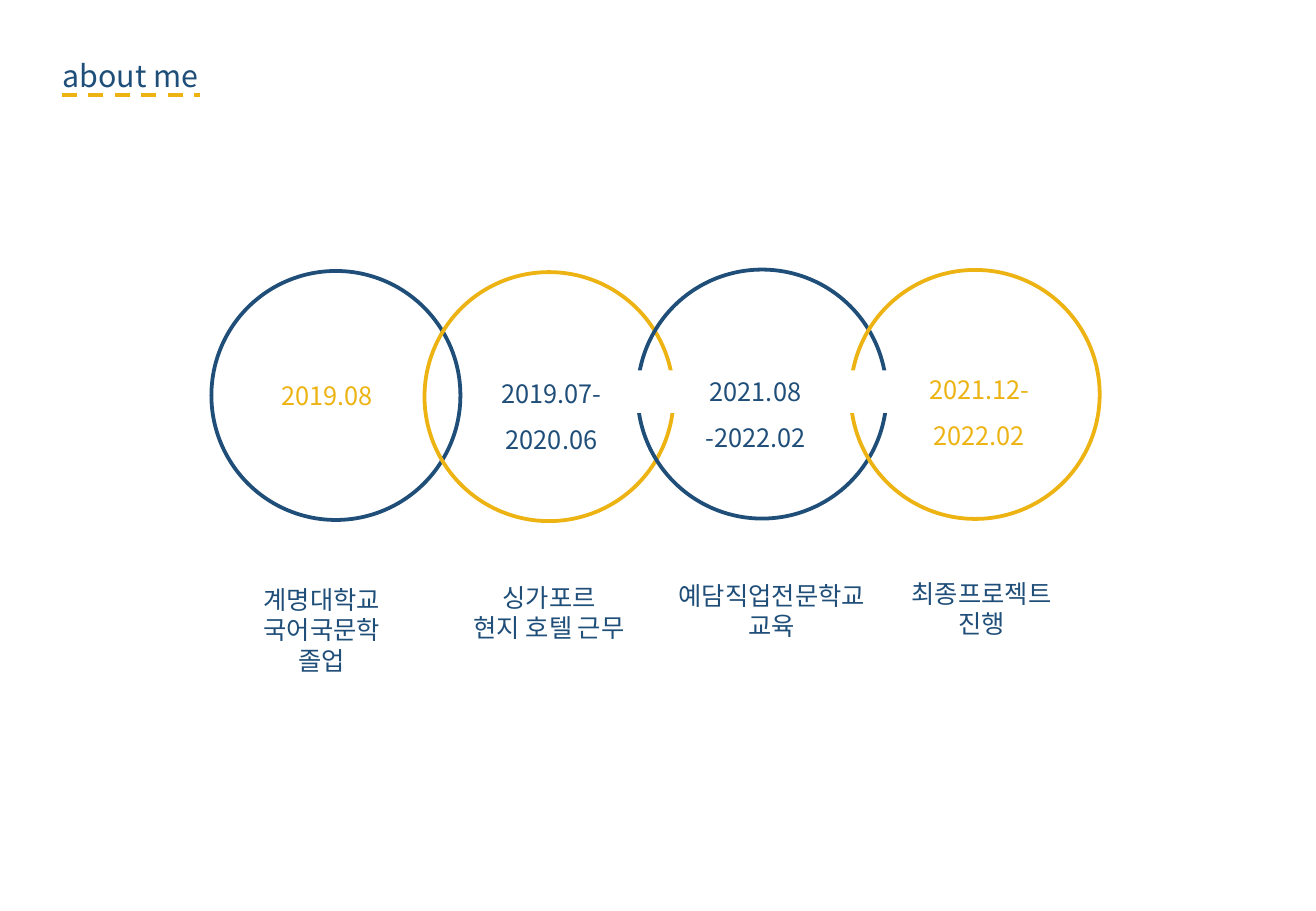
from dataclasses import dataclass

from lxml.etree import SubElement
from pptx import Presentation
from pptx.dml.color import RGBColor
from pptx.enum.dml import MSO_LINE
from pptx.enum.shapes import MSO_CONNECTOR, MSO_SHAPE as SHAPE
from pptx.enum.text import PP_ALIGN as ALIGN
from pptx.oxml.ns import qn
from pptx.util import Pt


@dataclass(frozen=True)
class Theme:
    navy: RGBColor = RGBColor.from_string("1F4E79")
    gold: RGBColor = RGBColor.from_string("ECB312")
    white: RGBColor = RGBColor.from_string("FFFFFF")
    font: str = "Noto Sans CJK KR"
    title: float = 18
    body: float = 15
    stroke: float = 2.25


def write(frame, text, *, font, size, color, align=ALIGN.LEFT, spacing=1.0):
    """Fill a text frame, one paragraph for each line of text."""
    frame.word_wrap = True
    for number, line in enumerate(text.split("\n")):
        paragraph = frame.add_paragraph() if number else frame.paragraphs[0]
        paragraph.alignment = align
        paragraph.line_spacing = spacing
        run = paragraph.add_run()
        run.text = line
        run.font.size = Pt(size)
        run.font.color.rgb = color
        run.font.name = font
        # Hangul takes its typeface from the East Asian font slot.
        SubElement(run.font._element, qn("a:ea"), typeface=font)


class Deck:
    def __init__(self, theme, width, height):
        self.theme = theme
        self.file = Presentation()
        self.file.slide_width, self.file.slide_height = Pt(width), Pt(height)
        self.slide = self.file.slides.add_slide(self.file.slide_layouts[6])

    def text(self, text, left, top, width, height, **style):
        box = self.slide.shapes.add_textbox(Pt(left), Pt(top), Pt(width), Pt(height))
        style = {"font": self.theme.font, "size": self.theme.body,
                 "color": self.theme.navy} | style
        write(box.text_frame, text, **style)

    def shape(self, kind, left, top, width, height, fill=None, line=None):
        shape = self.slide.shapes.add_shape(
            kind, Pt(left), Pt(top), Pt(width), Pt(height))
        shape.shadow.inherit = False
        if fill is None:
            shape.fill.background()
        else:
            shape.fill.solid()
            shape.fill.fore_color.rgb = fill
        if line is None:
            shape.line.fill.background()
        else:
            shape.line.color.rgb = line
            shape.line.width = Pt(self.theme.stroke)

    def dashed_rule(self, left, right, y, color):
        rule = self.slide.shapes.add_connector(
            MSO_CONNECTOR.STRAIGHT, Pt(left), Pt(y), Pt(right), Pt(y))
        rule.line.color.rgb = color
        rule.line.width = Pt(self.theme.stroke)
        rule.line.dash_style = MSO_LINE.DASH
        SubElement(rule._element.spPr, qn("a:effectLst"))


def main():
    theme = Theme()
    deck = Deck(theme, 780, 540)
    navy, gold = theme.navy, theme.gold

    deck.text("about me", 30, 19.5, 165, 37, size=theme.title, spacing=1.5)
    deck.dashed_rule(36.7, 118.8, 56.2, gold)

    # Dates, date colour, date centre, ring top, label, label centre
    milestones = [
        ("2019.08", gold, 193.7, 160.6, "계명대학교\n국어국문학\n졸업", 190.8),
        ("2019.07-\n2020.06", navy, 326.9, 161.3, "싱가포르\n현지 호텔 근무", 325.5),
        ("2021.08\n-2022.02", navy, 447.8, 159.8, "예담직업전문학교\n교육", 457.5),
        ("2021.12-\n2022.02", gold, 580.3, 160, "최종프로젝트\n진행", 581.8),
    ]
    ring_left, ring_pitch, ring_size = 125.3, 126.3, 147.6
    date_top, label_top, rise = 213.1, 342.7, 1.2
    date_width, label_width = 121, 142

    for i, (dates, color, date_x, ring_top, label, label_x) in enumerate(milestones):
        deck.shape(SHAPE.OVAL, ring_left + i * ring_pitch, ring_top,
                   ring_size, ring_size, line=gold if i % 2 else navy)
        deck.text(dates, date_x - date_width / 2, date_top - i * rise,
                  date_width, 58, color=color, align=ALIGN.CENTER, spacing=1.5)
        deck.text(label, label_x - label_width / 2, label_top - i * rise,
                  label_width, 62, align=ALIGN.CENTER)

    for gap_left in (361.4, 496.8):
        deck.shape(SHAPE.RECTANGLE, gap_left, 219.6, 46.8, 25.2, fill=theme.white)

    deck.file.save("out.pptx")


if __name__ == "__main__":
    main()
